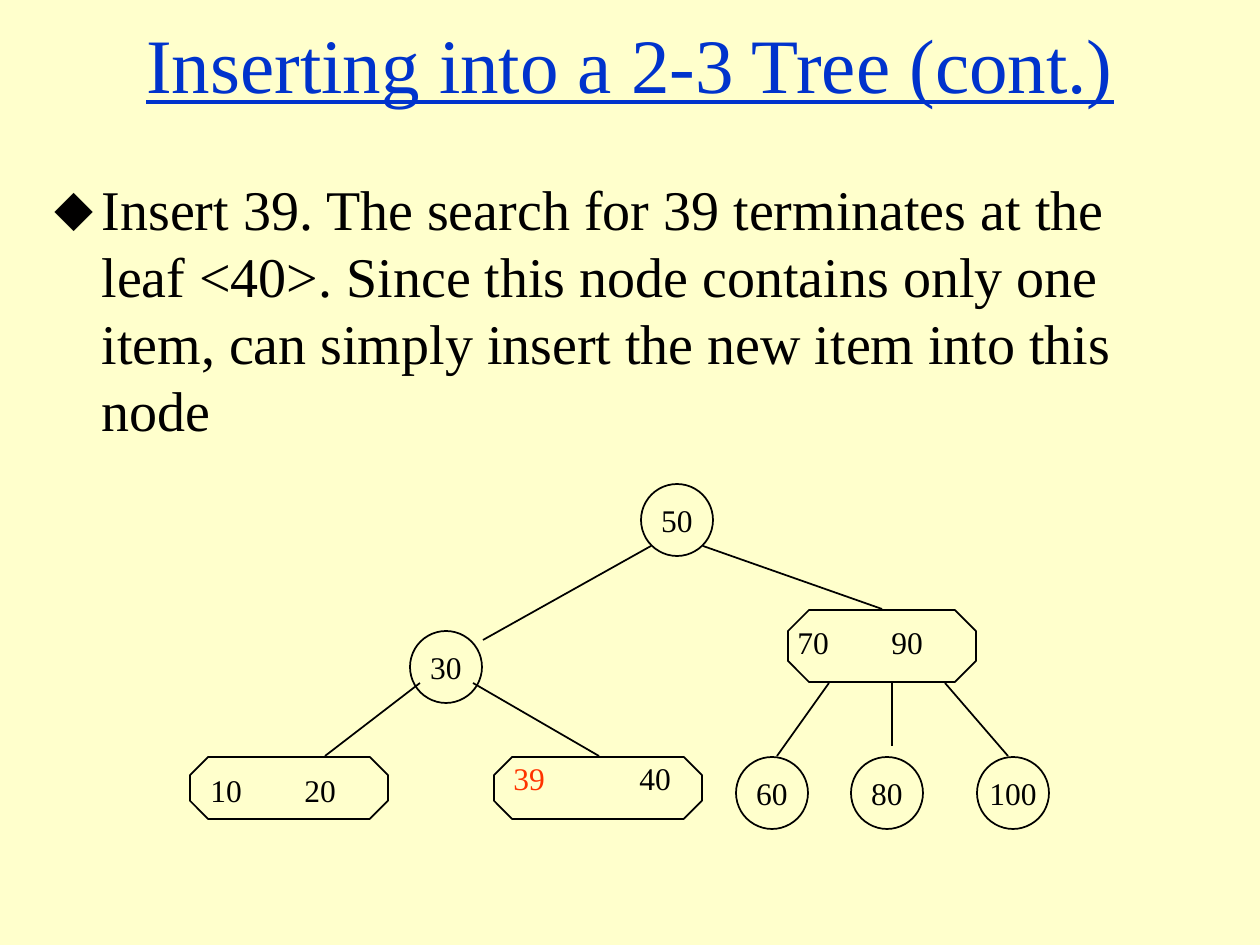
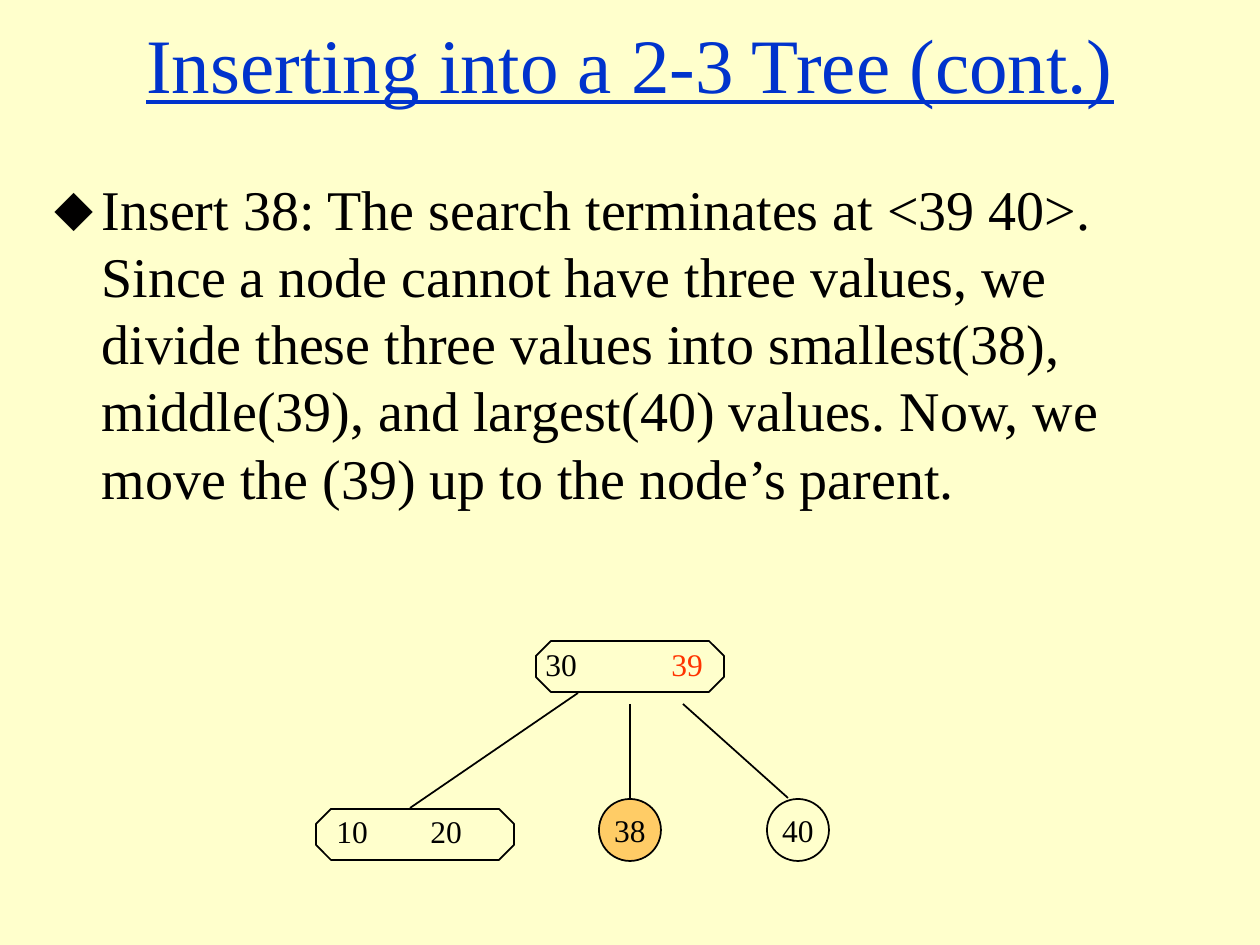
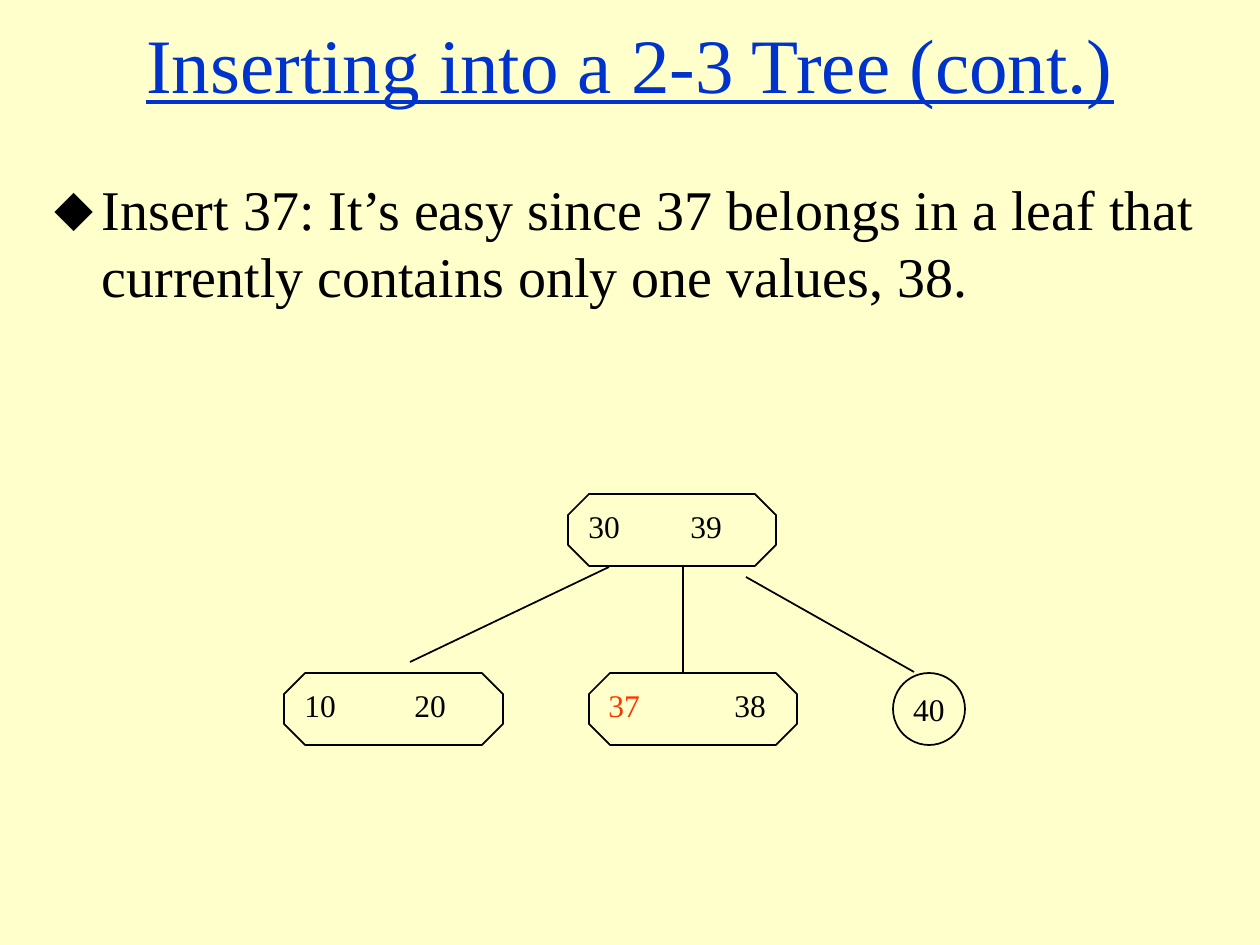
"""Build three slides on inserting keys into a 2-3 tree."""
from lxml import etree
from pptx import Presentation
from pptx.dml.color import RGBColor
from pptx.enum.shapes import MSO_CONNECTOR, MSO_SHAPE
from pptx.enum.text import MSO_ANCHOR, MSO_AUTO_SIZE, PP_ALIGN
from pptx.oxml.ns import qn
from pptx.util import Pt

LEFT, MID = PP_ALIGN.LEFT, PP_ALIGN.CENTER
TOP, CENTER = MSO_ANCHOR.TOP, MSO_ANCHOR.MIDDLE
OVAL, OCTAGON = MSO_SHAPE.OVAL, MSO_SHAPE.OCTAGON
LINE, FIXED = MSO_CONNECTOR.STRAIGHT, MSO_AUTO_SIZE.NONE
CREAM = RGBColor(0xFF, 0xFF, 0xCC)
BLUE = RGBColor(0x00, 0x33, 0xCC)
BLACK = RGBColor(0x00, 0x00, 0x00)
INK = RGBColor(0x01, 0x00, 0x00)
RED = RGBColor(0xFF, 0x33, 0x00)
GOLD = RGBColor(0xFF, 0xCC, 0x66)
FONT = "Times New Roman"
SCALE = 914400 / 126
INDENT = 47
LABEL_H = 63

TITLE = "Inserting into a 2-3 Tree (cont.)"
TITLE_BOX = (0, 0, 1260, 126)
BODY_BOX = (42, 168, 1166, 672)

SLIDES = [
    {
        "body": "Insert 39. The search for 39 terminates at the leaf <40>. "
                "Since this node contains only one item, can simply insert "
                "the new item into this node",
        "size": 72,
        "circles": [("50", 641, 484, None), ("30", 410, 631, None),
                    ("60", 736, 757, None), ("80", 851, 757, None),
                    ("100", 977, 757, None)],
        "nodes": [(190, 757, 198, 62), (788, 610, 188, 72),
                  (494, 757, 208, 62)],
        "labels": [("70\t90", 785, 617, 193, 94, BLACK),
                   ("10\t20", 198, 765, 193, 94, BLACK),
                   ("39", 501, 753, 67, 0, RED),
                   ("40", 627, 753, 67, 0, BLACK)],
        "lines": [(651, 546, 483, 640), (420, 683, 325, 756),
                  (473, 683, 599, 756), (703, 546, 882, 609),
                  (829, 683, 777, 756), (892, 683, 892, 746),
                  (945, 683, 1008, 756)],
    },
    {
        "body": "Insert 38: The search terminates at <39 40>. Since a node "
                "cannot have three values, we divide these three values into "
                "smallest(38), middle(39), and largest(40) values. Now, we "
                "move the (39) up to the node’s parent.",
        "size": 62,
        "circles": [("38", 599, 799, GOLD), ("40", 767, 799, None)],
        "nodes": [(316, 809, 198, 51), (536, 641, 188, 51)],
        "labels": [("30", 533, 639, 78, 0, BLACK),
                   ("10\t20", 324, 806, 193, 94, BLACK),
                   ("39", 659, 639, 67, 0, RED)],
        "lines": [(578, 693, 410, 808), (630, 704, 630, 798),
                  (683, 704, 788, 798)],
    },
    {
        "body": "Insert 37: It’s easy since 37 belongs in a leaf that "
                "currently contains only one values, 38.",
        "size": 72,
        "circles": [("40", 893, 673, None)],
        "nodes": [(568, 494, 208, 72), (284, 673, 219, 72),
                  (589, 673, 208, 72)],
        "labels": [("30\t39", 576, 501, 204, 102, BLACK),
                   ("10\t20", 292, 680, 214, 110, BLACK),
                   ("37", 596, 680, 86, 0, RED),
                   ("38", 722, 680, 67, 0, BLACK)],
        "lines": [(609, 567, 410, 662), (683, 567, 683, 672),
                  (746, 577, 914, 672)],
    },
]


def px(*vals):
    """Turn px lengths into EMU."""
    return [round(val * SCALE) for val in vals]


def put(shape, text, size=18, color=BLACK, align=LEFT, anchor=TOP,
        wrap=False, under=None, bullet=None, tab=0):
    """Write one formatted paragraph into a shape."""
    frame = shape.text_frame
    frame.auto_size, frame.word_wrap = FIXED, wrap
    frame.vertical_anchor = anchor
    para = frame.paragraphs[0]
    para.alignment, para.space_before = align, Pt(0)
    props = para._p.get_or_add_pPr()
    if bullet:
        inset = px(INDENT)[0]
        props.set("marL", str(inset))
        props.set("indent", str(-inset))
        etree.SubElement(props, qn("a:buChar"), char=bullet)
    if tab:
        stops = etree.SubElement(props, qn("a:tabLst"))
        etree.SubElement(stops, qn("a:tab"), pos=str(px(tab)[0]), algn="l")
    run = para.add_run()
    run.text = text
    font = run.font
    font.name, font.size, font.underline = FONT, Pt(size), under
    font.color.rgb = color


def place(shape, box):
    """Move a placeholder to a px box."""
    shape.left, shape.top, shape.width, shape.height = px(*box)


def node(slide, kind, box, fill=None):
    """Add an outlined tree node."""
    shape = slide.shapes.add_shape(kind, *px(*box))
    shape.shadow.inherit = False
    if fill is None:
        shape.fill.background()
    else:
        shape.fill.solid()
        shape.fill.fore_color.rgb = fill
    shape.line.color.rgb, shape.line.width = BLACK, Pt(1)
    return shape


def edge(slide, ends):
    """Add a plain line between two px points."""
    link = slide.shapes.add_connector(LINE, *px(*ends))
    link.line.color.rgb, link.line.width = BLACK, Pt(1)
    etree.SubElement(link._element.spPr, qn("a:effectLst"))


def draw(slide, data):
    """Fill one slide with its text and tree."""
    title, body = slide.placeholders
    place(title, TITLE_BOX)
    put(title, TITLE, size=44, color=BLUE, align=MID, anchor=CENTER,
        wrap=True, under=True)
    place(body, BODY_BOX)
    put(body, data["body"], size=32, color=INK, wrap=True, bullet="⬥")
    for box in data["nodes"]:
        node(slide, OCTAGON, box)
    side = data["size"]
    for key, left, top, fill in data["circles"]:
        disc = node(slide, OVAL, (left, top, side, side), fill)
        put(disc, key, align=MID, anchor=CENTER)
    for keys, left, top, width, gap, color in data["labels"]:
        box = slide.shapes.add_textbox(*px(left, top, width, LABEL_H))
        put(box, keys, color=color, wrap=True, tab=gap)
    for ends in data["lines"]:
        edge(slide, ends)


def main():
    """Build and save the deck."""
    deck = Presentation()
    deck.slide_width, deck.slide_height = px(1260, 945)
    back = deck.slide_master.background.fill
    back.solid()
    back.fore_color.rgb = CREAM
    for data in SLIDES:
        draw(deck.slides.add_slide(deck.slide_layouts[1]), data)
    deck.save("out.pptx")


if __name__ == "__main__":
    main()
